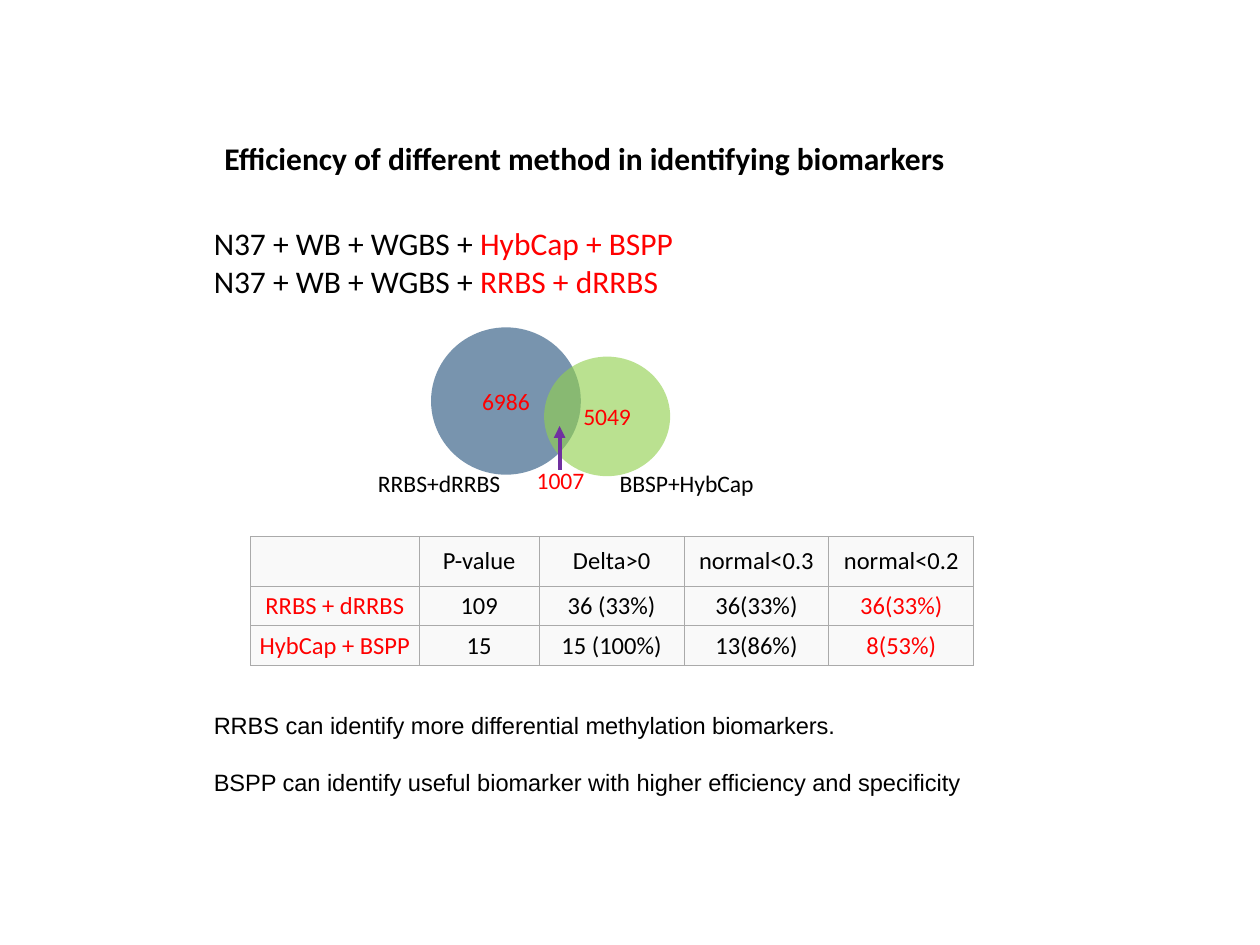
from typing import NamedTuple

from pptx import Presentation
from pptx.dml.color import RGBColor
from pptx.enum.shapes import MSO_CONNECTOR, MSO_SHAPE
from pptx.enum.text import MSO_ANCHOR, MSO_AUTO_SIZE, PP_ALIGN
from pptx.oxml.ns import qn
from pptx.util import Cm, Pt
from lxml.etree import SubElement

BLACK, RED = "000000", "FF0000"


class Box(NamedTuple):
    left: float
    top: float
    width: float
    height: float

    def lengths(self) -> list:
        return [Cm(side) for side in self]


class Disc(NamedTuple):
    text: str
    box: Box
    fill: str
    alpha: int


class Label(NamedTuple):
    text: str
    box: Box
    tint: str = BLACK
    wrap: bool = True


DISCS = [
    Disc("6986", Box(8.69, 6.6, 3.02, 2.97), "1F4E79", 60),
    Disc("5049", Box(10.97, 7.19, 2.54, 2.41), "92D050", 63),
]
LABELS = [
    Label("RRBS+dRRBS", Box(7.37, 9.32, 3.3, 0.84)),
    Label("BBSP+HybCap", Box(12.24, 9.32, 3.68, 0.84)),
    Label("1007", Box(10.57, 9.27, 1.5, 0.84), RED, False),
]
MIXES = ["HybCap + BSPP", "RRBS + dRRBS"]
NOTES = [
    "RRBS can identify more differential methylation biomarkers.",
    "BSPP can identify useful biomarker with higher efficiency and specificity",
]
ROWS = [
    ["", "P-value", "Delta>0", "normal<0.3", "normal<0.2"],
    ["RRBS + dRRBS", "109", "36 (33%)", "36(33%)", "36(33%)"],
    ["HybCap + BSPP", "15", "15 (100%)", "13(86%)", "8(53%)"],
]
WIDTHS = [3.4, 2.42, 2.92, 2.92, 2.92]
HEIGHTS = [1.0, 0.78, 0.78]


def color(code: str) -> RGBColor:
    return RGBColor.from_string(code)


def style(para, size: float, tint: str = BLACK, face: str = "Calibri",
          align=PP_ALIGN.LEFT, bold: bool = False) -> None:
    para.alignment = align
    font = para.font
    font.size, font.name, font.bold = Pt(size), face, bold
    font.color.rgb = color(tint)


def place(shapes, box: Box, wrap: bool = True):
    frame = shapes.add_textbox(*box.lengths()).text_frame
    frame.word_wrap = wrap
    return frame


def draw_title(title) -> None:
    title.left, title.top, title.width, title.height = Box(4.27, 2.67, 15.19, 1.02).lengths()
    frame = title.text_frame
    frame.text = "Efficiency of different method in identifying biomarkers"
    frame.word_wrap = False
    frame.auto_size = MSO_AUTO_SIZE.NONE
    frame.vertical_anchor = MSO_ANCHOR.TOP
    style(frame.paragraphs[0], 18, bold=True)


def draw_mixes(shapes) -> None:
    frame = place(shapes, Box(4.06, 4.39, 11.86, 2.57))
    for row, mix in enumerate(MIXES):
        para = frame.add_paragraph() if row else frame.paragraphs[0]
        style(para, 18)
        para.add_run().text = "N37 + WB + WGBS + "
        run = para.add_run()
        run.text = mix
        run.font.color.rgb = color(RED)


def draw_notes(shapes) -> None:
    frame = place(shapes, Box(4.06, 14.2, 17.5, 1.98))
    frame.text = "\n".join(NOTES)
    for para in frame.paragraphs:
        style(para, 13.5, face="Arial")
    frame.paragraphs[1].space_before = Pt(16.5)


def draw_disc(shapes, disc: Disc) -> None:
    shape = shapes.add_shape(MSO_SHAPE.OVAL, *disc.box.lengths())
    shape.shadow.inherit = False
    shape.line.fill.background()
    shape.fill.solid()
    shape.fill.fore_color.rgb = color(disc.fill)
    tone = shape._element.spPr.find(qn("a:solidFill"))[0]
    SubElement(tone, qn("a:alpha"), val=str(disc.alpha * 1000))
    frame = shape.text_frame
    frame.text = disc.text
    frame.vertical_anchor = MSO_ANCHOR.MIDDLE
    style(frame.paragraphs[0], 13.5, RED, align=PP_ALIGN.CENTER)


def draw_label(shapes, label: Label) -> None:
    frame = place(shapes, label.box, label.wrap)
    frame.text = label.text
    style(frame.paragraphs[0], 13.5, label.tint)


def draw_arrow(shapes) -> None:
    arrow = shapes.add_connector(
        MSO_CONNECTOR.STRAIGHT, Cm(11.28), Cm(9.47), Cm(11.28), Cm(8.59))
    arrow.line.color.rgb = color("7030A0")
    arrow.line.width = Pt(2.25)
    SubElement(arrow.line._get_or_add_ln(), qn("a:tailEnd"), type="triangle")
    SubElement(arrow._element.spPr, qn("a:effectLst"))


def draw_venn(shapes) -> None:
    group = shapes.add_group_shape().shapes
    for disc in DISCS:
        draw_disc(group, disc)
    for label in LABELS:
        draw_label(group, label)
    draw_arrow(group)


def edge_cell(cell) -> None:
    props = cell._tc.get_or_add_tcPr()
    for spot, side in enumerate(["lnL", "lnR", "lnT", "lnB"]):
        line = SubElement(props, qn(f"a:{side}"), w=str(Pt(0.6)))
        fill = SubElement(line, qn("a:solidFill"))
        SubElement(fill, qn("a:srgbClr"), val="AAAAAA")
        props.insert(spot, line)


def draw_table(shapes) -> None:
    box = Box(5.05, 10.82, sum(WIDTHS), sum(HEIGHTS))
    table = shapes.add_table(len(ROWS), len(WIDTHS), *box.lengths()).table
    table.first_row = table.horz_banding = False
    for col, width in zip(table.columns, WIDTHS):
        col.width = Cm(width)
    for row, height in zip(table.rows, HEIGHTS):
        row.height = Cm(height)
    for r, texts in enumerate(ROWS):
        for c, text in enumerate(texts):
            cell = table.cell(r, c)
            cell.text = text
            cell.vertical_anchor = MSO_ANCHOR.MIDDLE
            cell.margin_left = cell.margin_right = Cm(0.18)
            cell.margin_top = cell.margin_bottom = Cm(0.1)
            cell.fill.solid()
            cell.fill.fore_color.rgb = color("F9F9F9")
            edge_cell(cell)
            tint = RED if r and c in (0, len(texts) - 1) else BLACK
            style(cell.text_frame.paragraphs[0], 14, tint, align=PP_ALIGN.CENTER)


def main() -> None:
    deck = Presentation()
    deck.slide_width, deck.slide_height = Cm(25.4), Cm(19.05)
    slide = deck.slides.add_slide(deck.slide_layouts[5])
    shapes = slide.shapes
    draw_title(shapes.title)
    draw_notes(shapes)
    draw_table(shapes)
    draw_mixes(shapes)
    draw_venn(shapes)
    deck.save("out.pptx")


if __name__ == "__main__":
    main()
